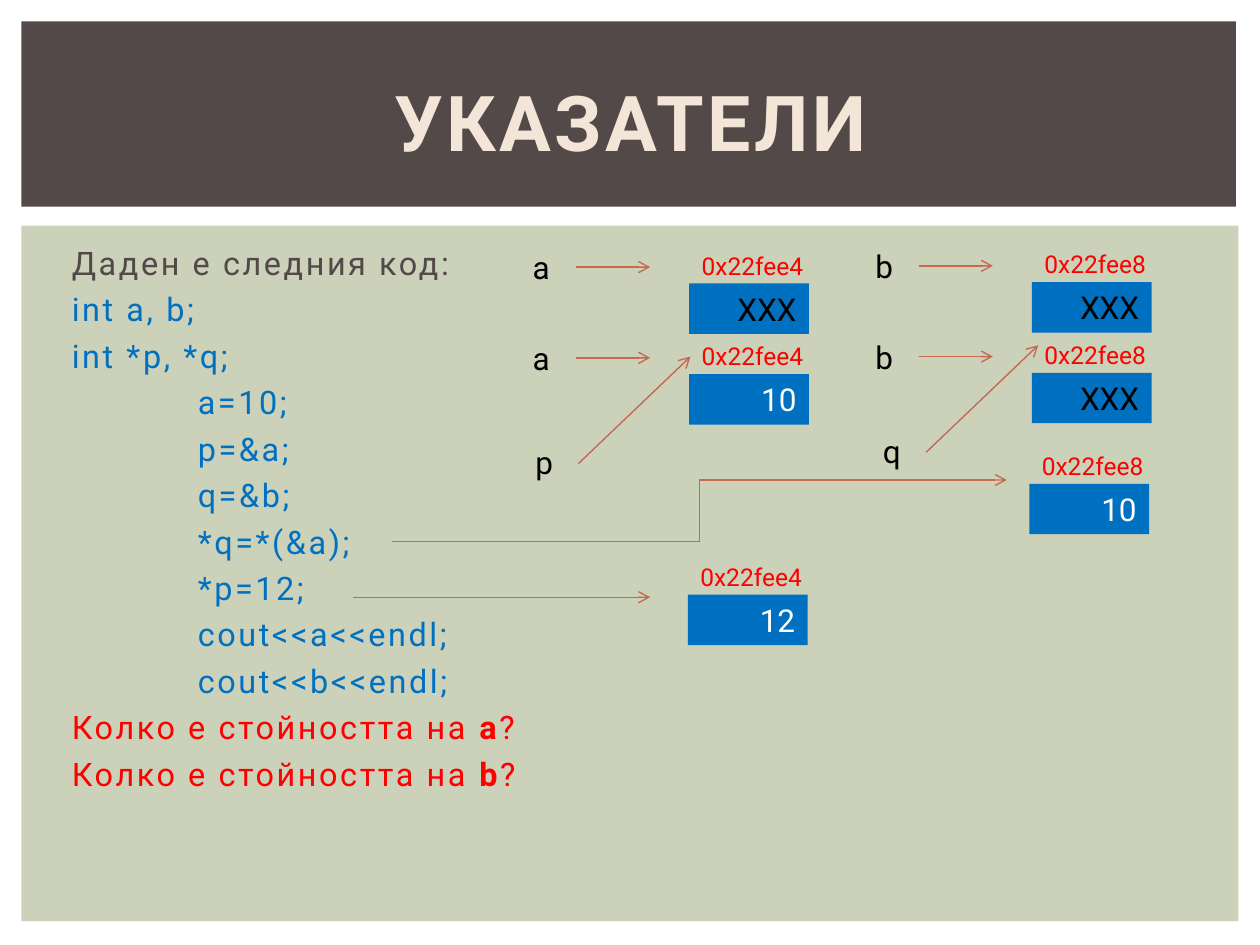
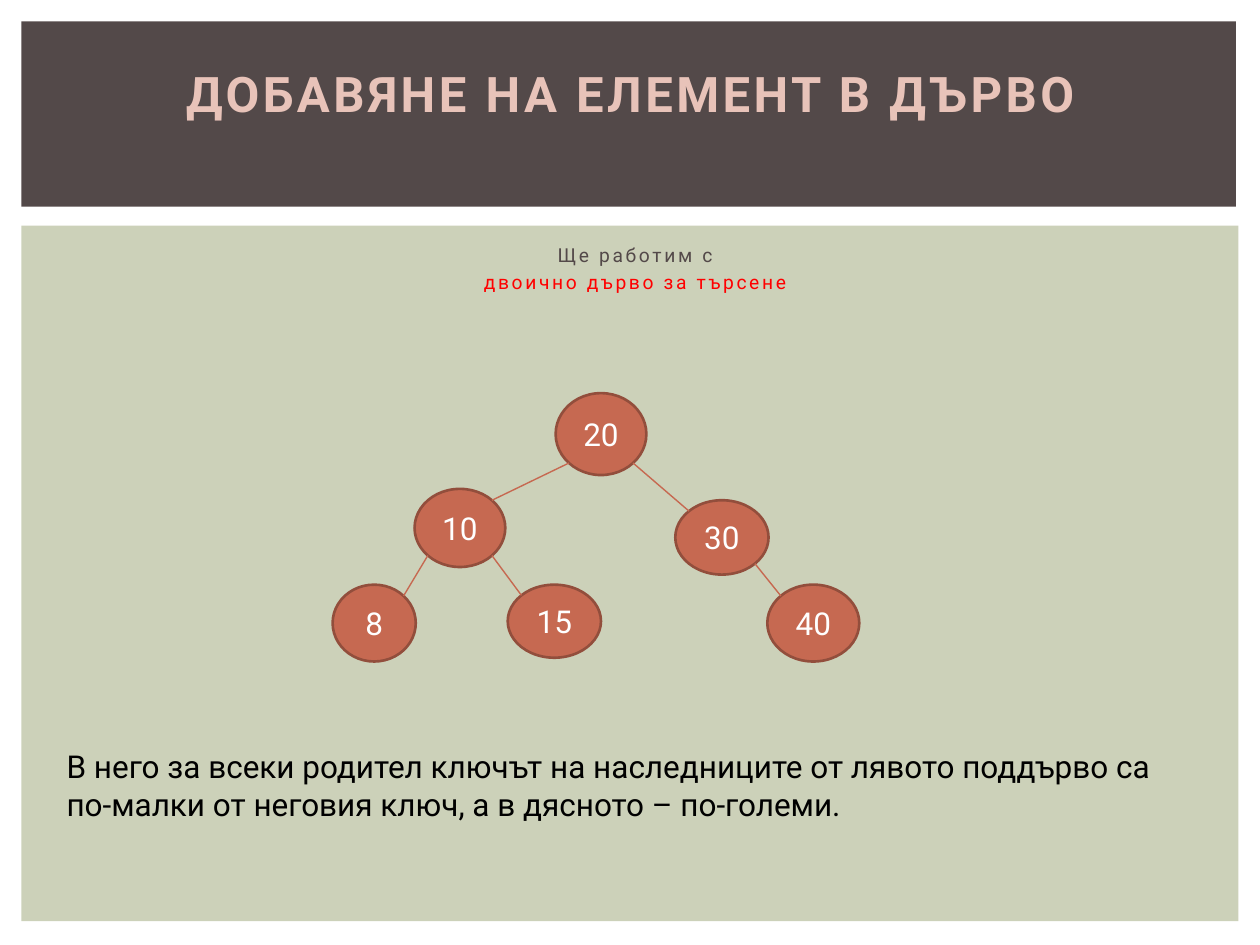
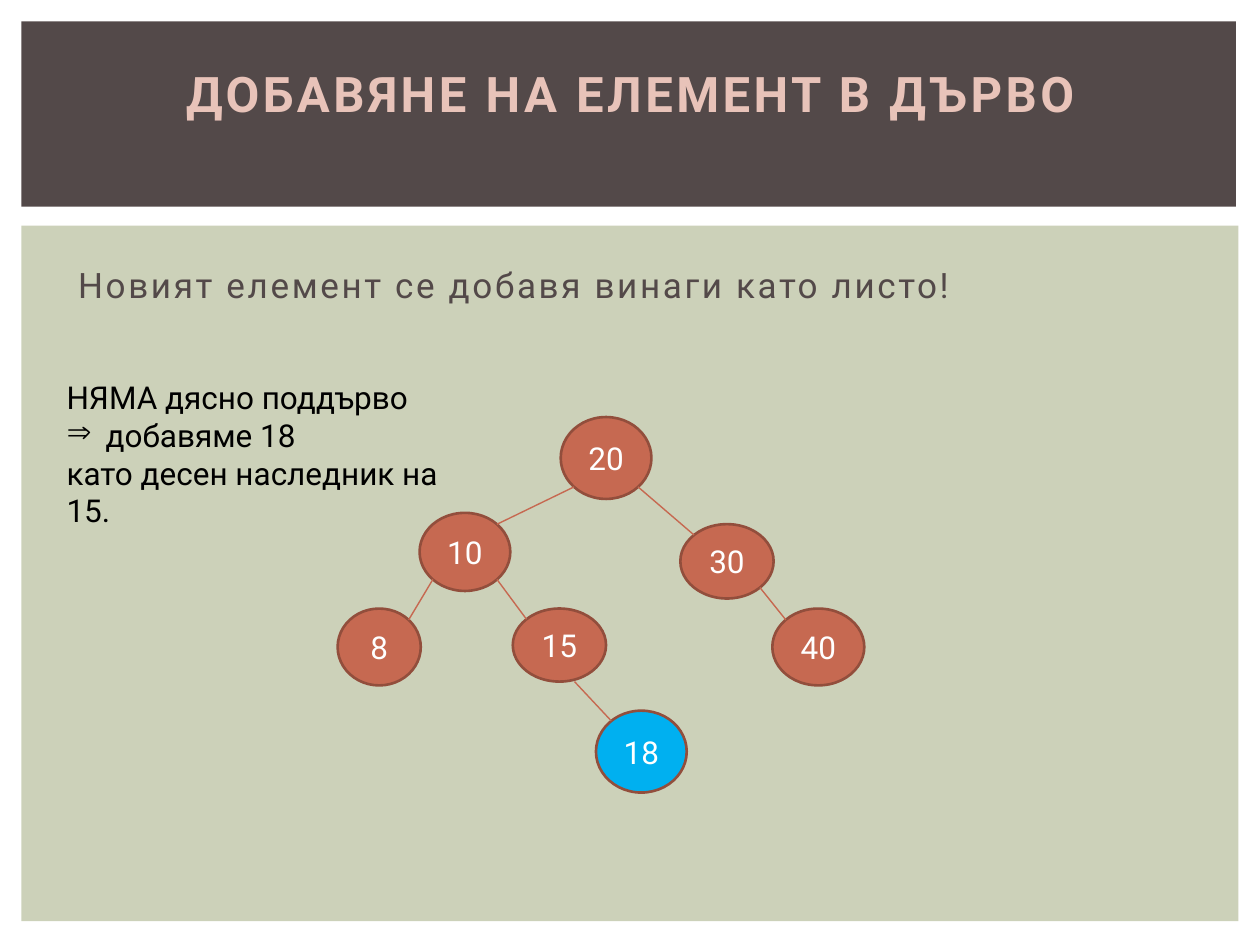
from math import sqrt

from lxml.etree import SubElement
from pptx import Presentation
from pptx.dml.color import RGBColor
from pptx.enum.shapes import MSO_CONNECTOR, MSO_SHAPE
from pptx.enum.text import MSO_ANCHOR, PP_ALIGN
from pptx.oxml.ns import qn
from pptx.util import Inches, Pt

FONT = "Roboto"
DARK = "534949"
SAGE = "CCD1B9"
CREAM = "F3E6D8"
PINK = "E8C3B9"
BRICK = "C66951"
BRICK_DARK = "924E3C"
BLUE = "0070C0"
SKY = "00B0F0"
RED = "FF0000"
BLACK = "000000"
WHITE = "FFFFFF"

color = RGBColor.from_string


def add_box(slide, box, lines=(), size=18, ink=BLACK, kind=None, fill=None, outline=None,
            align=PP_ALIGN.LEFT, anchor=MSO_ANCHOR.TOP, bold=False, tracking=0, gap=0):
    """Add a preset shape, or a text box when kind is None; ** marks bold words."""
    box = [Inches(length) for length in box]
    if kind is None:
        shape = slide.shapes.add_textbox(*box)
    else:
        shape = slide.shapes.add_shape(kind, *box)
        shape.shadow.inherit = False
        shape.fill.solid()
        shape.fill.fore_color.rgb = color(fill)
        if outline:
            shape.line.color.rgb = color(outline)
            shape.line.width = Pt(1.5)
        else:
            shape.line.fill.background()
    text_frame = shape.text_frame
    text_frame.word_wrap = True
    text_frame.vertical_anchor = anchor
    for number, line in enumerate(lines):
        paragraph = text_frame.add_paragraph() if number else text_frame.paragraphs[0]
        paragraph.alignment = align
        paragraph.space_after = Pt(gap)
        for position, words in enumerate(line.split("**")):
            run = paragraph.add_run()
            run.text = words
            run.font.name = FONT
            run.font.size = Pt(size)
            run.font.color.rgb = color(ink)
            run.font.bold = bold or position % 2 == 1
            if tracking:
                run._r.get_or_add_rPr().set("spc", str(int(tracking * 100)))
    return shape


def add_line(slide, start, end, arrow=False, kind=MSO_CONNECTOR.STRAIGHT):
    connector = slide.shapes.add_connector(kind, *[Inches(length) for length in (*start, *end)])
    connector.line.color.rgb = color(BRICK)
    connector.line.width = Pt(0.79)
    properties = connector._element.spPr
    if arrow:
        SubElement(properties.find(qn("a:ln")), qn("a:tailEnd"), type="arrow")
    SubElement(properties, qn("a:effectLst"))


presentation = Presentation()
presentation.slide_width = Inches(10)
presentation.slide_height = Inches(7.5)

# Bands and titles
TREE_TITLE = ("ДОБАВЯНЕ НА ЕЛЕМЕНТ В ДЪРВО", 28, PINK, (0.42, 0.39, 9.17, 1.15), 0.5)
slides = []
for title, size, ink, box, bottom_margin in [
    ("УКАЗАТЕЛИ", 44, CREAM, (0.42, 0.54, 9.17, 0.84), 0.05),
    TREE_TITLE,
    TREE_TITLE,
]:
    slide = presentation.slides.add_slide(presentation.slide_layouts[6])
    add_box(slide, (0.17, 1.79, 9.66, 5.52), kind=MSO_SHAPE.RECTANGLE, fill=SAGE)
    add_box(slide, (0.17, 0.17, 9.64, 1.47), kind=MSO_SHAPE.RECTANGLE, fill=DARK)
    heading = add_box(slide, box, [title], size, ink, align=PP_ALIGN.CENTER,
                      anchor=MSO_ANCHOR.MIDDLE, bold=True, tracking=2)
    heading.text_frame.margin_bottom = Inches(bottom_margin)
    slides.append(slide)
pointer_slide, search_tree_slide, insert_slide = slides

# Slide 1: code listing
declarations = ["int a, b;", "int *p, *q;"]
statements = ["a=10;", "p=&a;", "q=&b;", "*q=*(&a);", "*p=12;", "cout<<a<<endl;", "cout<<b<<endl;"]
questions = ["Колко е стойността на **а**?", "Колко е стойността на **b**?"]
listing = add_box(pointer_slide, (0.42, 1.88, 3.8, 4.82),
                  ["Даден е следния код:", *declarations, *statements, *questions],
                  18.5, DARK, tracking=1.5, gap=4.3)
listing.text_frame.margin_left = Inches(0.15)
paragraphs = listing.text_frame.paragraphs
for paragraph in paragraphs[1:]:
    for run in paragraph.runs:
        run.font.color.rgb = color(BLUE)
for paragraph in paragraphs[3:10]:
    paragraph._p.get_or_add_pPr().set("marL", str(Inches(1)))
for paragraph in paragraphs[10:]:
    for run in paragraph.runs:
        run.font.color.rgb = color(RED)

# Slide 1: variables in memory
memory_cells = [(8.17, 3.53, "0x22fee8", "10"), (5.46, 4.41, "0x22fee4", "12")]
for name, left, first_top, address, values in [
    ("a", 5.47, 1.94, "0x22fee4", ["XXX", "10"]),
    ("b", 8.19, 1.93, "0x22fee8", ["XXX", "XXX"]),
]:
    for row, value in enumerate(values):
        top = first_top + 0.72 * row
        memory_cells.append((left, top, address, value))
        add_box(pointer_slide, (left - 1.34, top - 0.02, 0.43, 0.4), [name])
        add_line(pointer_slide, (left - 0.9, top + 0.18), (left - 0.31, top + 0.18), arrow=True)

for left, top, address, value in memory_cells:
    add_box(pointer_slide, (left, top, 1.14, 0.34), [address], 14, RED)
    add_box(pointer_slide, (left, top + 0.31, 0.95, 0.4), [value],
            ink=BLACK if value == "XXX" else WHITE, kind=MSO_SHAPE.RECTANGLE, fill=BLUE,
            align=PP_ALIGN.RIGHT)

for name, left, top in [("p", 4.15, 3.47), ("q", 6.91, 3.38)]:
    add_box(pointer_slide, (left, top, 0.43, 0.4), [name])
    add_line(pointer_slide, (left + 0.44, top + 0.21), (left + 1.33, top - 0.64), arrow=True)

add_line(pointer_slide, (3.11, 4.3), (7.99, 3.81), arrow=True, kind=MSO_CONNECTOR.ELBOW)
add_line(pointer_slide, (2.8, 4.74), (5.16, 4.74), arrow=True)

# Slides 2 and 3: the search tree
tree_nodes = {
    "20": (4.41, 3.12, 0.72, 0.65),
    "10": (3.29, 3.88, 0.72, 0.62),
    "8": (2.64, 4.64, 0.66, 0.61),
    "15": (4.03, 4.64, 0.74, 0.58),
    "30": (5.36, 3.97, 0.74, 0.59),
    "40": (6.09, 4.64, 0.73, 0.61),
}
tree_edges = [("20", "10"), ("20", "30"), ("10", "8"), ("10", "15"), ("30", "40")]
node_style = dict(ink=WHITE, kind=MSO_SHAPE.OVAL, outline=BRICK_DARK,
                  align=PP_ALIGN.CENTER, anchor=MSO_ANCHOR.MIDDLE)

for slide, shift_x, shift_y in [(search_tree_slide, 0, 0), (insert_slide, 0.04, 0.19)]:
    centers = {}
    for key, (left, top, width, height) in tree_nodes.items():
        left, top = left + shift_x, top + shift_y
        centers[key] = (left + width / 2, top + height / 2)
        add_box(slide, (left, top, width, height), [key], fill=BRICK, **node_style)
    for parent, child in tree_edges:
        side = 1 if centers[child][0] > centers[parent][0] else -1
        ends = []
        for key, across, down in [(parent, side, 1), (child, -side, -1)]:
            x, y = centers[key]
            width, height = tree_nodes[key][2:]
            ends.append((x + across * width * sqrt(0.5) / 2, y + down * height * sqrt(0.5) / 2))
        add_line(slide, *ends)

# Slide 2: texts
subtitle = add_box(search_tree_slide, (0.42, 1.88, 9.19, 0.45),
                   ["Ще работим с", "двоично дърво за търсене"], 11, DARK,
                   align=PP_ALIGN.CENTER, tracking=1.5, gap=2.6)
subtitle.text_frame.margin_left = Inches(0.15)
subtitle.text_frame.paragraphs[1].runs[0].font.color.rgb = color(RED)
add_box(search_tree_slide, (0.43, 5.88, 9.14, 0.7),
        ["В него за всеки родител ключът на наследниците от лявото поддърво са "
         "по-малки от неговия ключ, а в дясното – по-големи."])

# Slide 3: the new leaf and texts
rule = add_box(insert_slide, (0.47, 2.04, 9.19, 0.45),
               ["Новият елемент се добавя винаги като листо!"], 20, DARK, tracking=1.5)
rule.text_frame.margin_left = Inches(0.15)
add_box(insert_slide, (4.73, 5.64, 0.72, 0.65), ["18"], fill=SKY, **node_style)
add_line(insert_slide, (4.56, 5.41), (4.85, 5.72))
explanation = add_box(insert_slide, (0.43, 2.95, 3.51, 1.01),
                      ["НЯМА дясно поддърво", "добавяме 18", "като десен наследник на 15."])
bullet = explanation.text_frame.paragraphs[1]._p.get_or_add_pPr()
bullet.set("marL", str(Inches(0.31)))
bullet.set("indent", str(-Inches(0.31)))
SubElement(bullet, qn("a:buChar"), char="⇒")

presentation.save("out.pptx")
